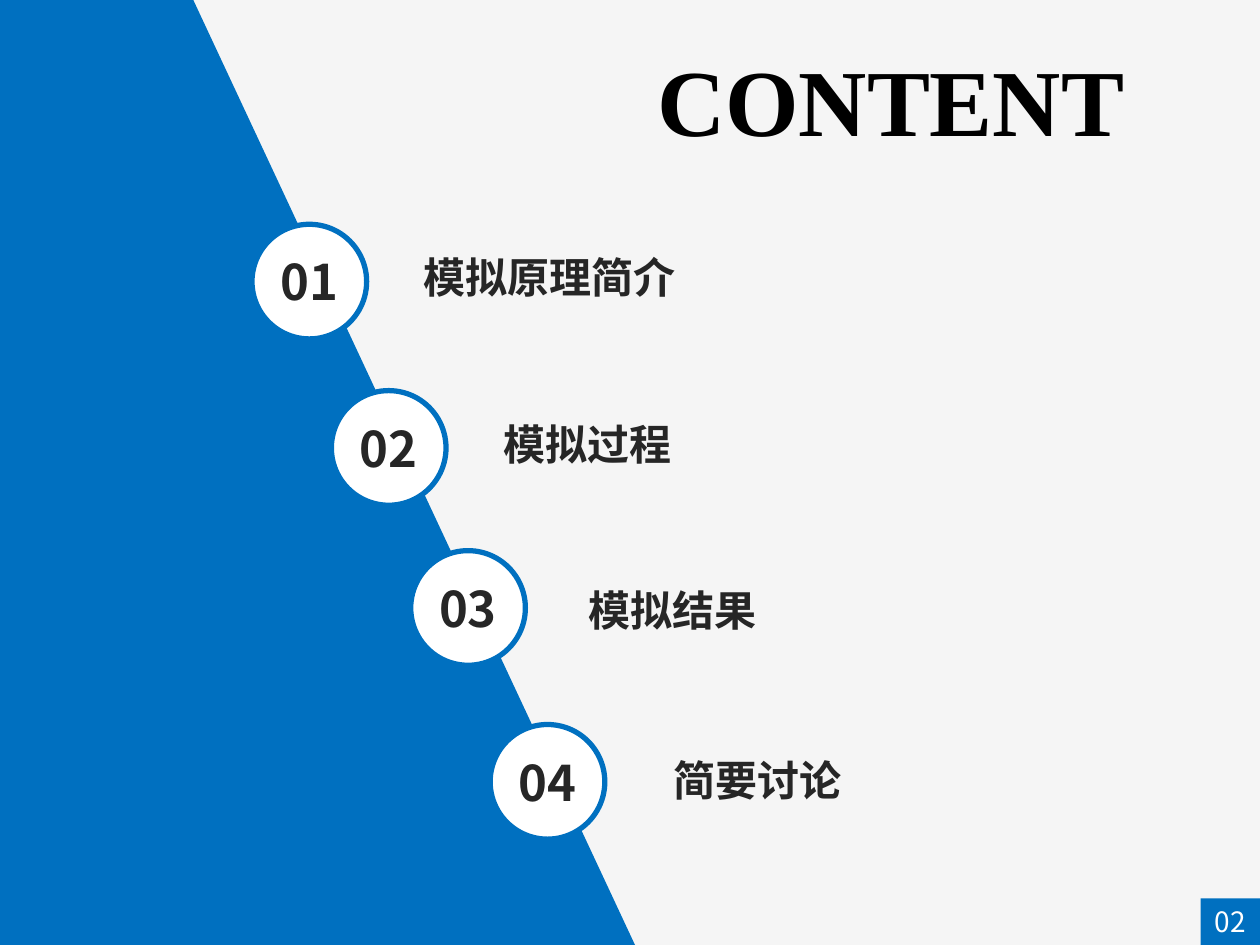
from lxml import etree
from pptx import Presentation
from pptx import util as u
from pptx.dml.color import RGBColor
from pptx.enum import shapes, text
from pptx.oxml import ns

# Content: number, topic, top of circle, left and top of topic
TITLE = "CONTENT"
PAGE = "02"
TOPICS = [
    ("01", "模拟原理简介", 1.78, 3.26, 1.95),
    ("02", "模拟过程", 3.10, 3.90, 3.27),
    ("03", "模拟结果", 4.37, 4.57, 4.59),
    ("04", "简要讨论", 5.75, 5.25, 5.94),
]
COLORS = {"blue": "0070C0", "back": "F5F5F5", "white": "FFFFFF",
          "ink": "262626", "black": "000000"}
SANS, SERIF = "Noto Sans CJK SC", "Times New Roman"
WIDTH, HEIGHT = 10, 7.5
EDGE = [(-0.03, -0.01), (1.53, -0.01), (5.04, 7.5), (-0.01, 7.54)]
CIRCLE, CIRCLE_LEFT, CIRCLE_STEP = 0.91, 2.0, 0.63
NUMBER_W, NUMBER_H = 0.74, 0.57
TOPIC_RIGHT = 9.37
BADGE_W, BADGE_H, BADGE_TEXT_W = 0.47, 0.37, 0.70


def color(name):
    return RGBColor.from_string(COLORS[name])


def inches(*lengths):
    return [u.Inches(length) for length in lengths]


def paint(shape, fill, line=None):
    shape.shadow.inherit = False
    shape.fill.solid()
    shape.fill.fore_color.rgb = color(fill)
    if line:
        shape.line.color.rgb = color(line)
        shape.line.width = u.Pt(3)
    else:
        shape.line.fill.background()


def write(shape, words, size, ink, font=SANS, bold=True, centred=True):
    frame = shape.text_frame
    frame.word_wrap = True
    frame.auto_size = text.MSO_AUTO_SIZE.NONE
    frame.vertical_anchor = text.MSO_ANCHOR.TOP
    paragraph = frame.paragraphs[0]
    paragraph.alignment = text.PP_ALIGN.CENTER if centred else text.PP_ALIGN.LEFT
    run = paragraph.add_run()
    run.text = words
    run.font.size, run.font.bold, run.font.name = u.Pt(size), bold, font
    run.font.color.rgb = color(ink)
    # East Asian typeface follows the Latin one
    latin = run.font._element.find(ns.qn("a:latin"))
    east_asian = etree.Element(ns.qn("a:ea"), typeface=font)
    latin.addnext(east_asian)


def main():
    deck = Presentation()
    deck.slide_width, deck.slide_height = inches(WIDTH, HEIGHT)
    slide = deck.slides.add_slide(deck.slide_layouts[5])
    slide.background.fill.solid()
    slide.background.fill.fore_color.rgb = color("back")
    parts = slide.shapes

    # Title
    title = parts.title
    title.left, title.top, title.width, title.height = inches(4.77, 0.28, 4.6, 1.01)
    write(title, TITLE, 54, "black", SERIF)

    # Slanted blue side
    corners = [tuple(inches(*corner)) for corner in EDGE]
    builder = parts.build_freeform(*corners[0], scale=1.0)
    builder.add_line_segments(corners[1:], close=True)
    paint(builder.convert_to_shape(), "blue")

    # Numbered topics down the slant
    for row, (number, topic, top, topic_left, topic_top) in enumerate(TOPICS):
        left = CIRCLE_LEFT + row * CIRCLE_STEP
        circle = parts.add_shape(shapes.MSO_SHAPE.OVAL,
                                 *inches(left, top, CIRCLE, CIRCLE))
        paint(circle, "white", "blue")
        label = parts.add_textbox(*inches(left + (CIRCLE - NUMBER_W) / 2,
                                          top + (CIRCLE - NUMBER_H) / 2,
                                          NUMBER_W, NUMBER_H))
        write(label, number, 28, "ink")
        heading = parts.add_textbox(*inches(topic_left, topic_top,
                                            TOPIC_RIGHT - topic_left, 0.5))
        write(heading, topic, 24, "ink", centred=False)

    # Page number in the bottom right corner
    badge_left, badge_top = WIDTH - BADGE_W, HEIGHT - BADGE_H
    badge = parts.add_shape(shapes.MSO_SHAPE.RECTANGLE,
                            *inches(badge_left, badge_top, BADGE_W, BADGE_H))
    paint(badge, "blue")
    page = parts.add_textbox(*inches(badge_left - (BADGE_TEXT_W - BADGE_W) / 2,
                                     badge_top, BADGE_TEXT_W, BADGE_H))
    write(page, PAGE, 16, "white", bold=False)

    deck.save("out.pptx")


if __name__ == "__main__":
    main()
